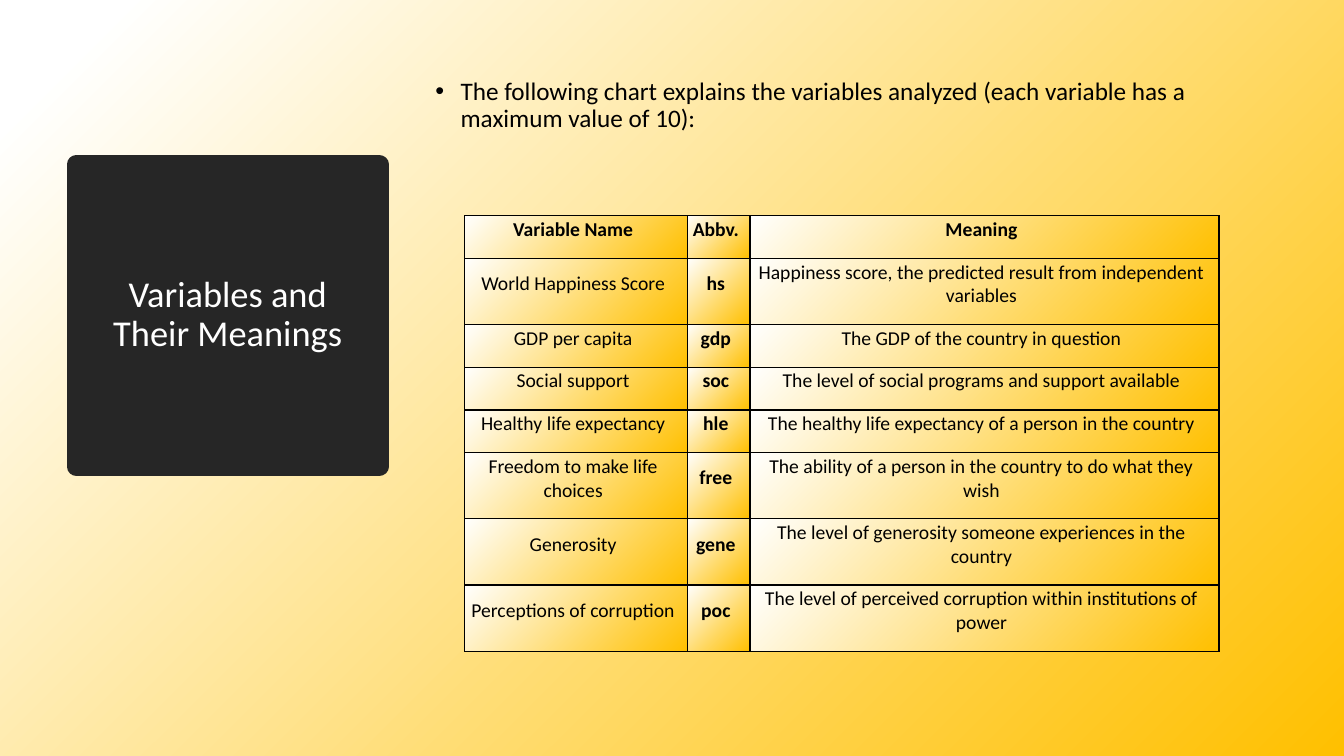
from dataclasses import dataclass

from lxml import etree
from pptx import Presentation
from pptx import util as u
from pptx.dml.color import RGBColor as Rgb
from pptx.enum import text as t
from pptx.oxml import ns


@dataclass(frozen=True)
class Theme:
    font: str = "Calibri"
    black: str = "000000"
    white: str = "FFFFFF"
    dark: str = "262626"
    gold: str = "FFC000"
    head: int = 26
    body: int = 18
    cell: int = 14


THEME = Theme()

ROWS = [
    ("Variable Name", "Abbv.", "Meaning"),
    ("World Happiness Score", "hs",
     "Happiness score, the predicted result from independent variables"),
    ("GDP per capita", "gdp", "The GDP of the country in question"),
    ("Social support", "soc",
     "The level of social programs and support available"),
    ("Healthy life expectancy", "hle",
     "The healthy life expectancy of a person in the country"),
    ("Freedom to make life choices", "free",
     "The ability of a person in the country to do what they wish"),
    ("Generosity", "gene",
     "The level of generosity someone experiences in the country"),
    ("Perceptions of corruption", "poc",
     "The level of perceived corruption within institutions of power"),
]


def style(para, size, color, bold=False):
    for run in para.runs:
        font = run.font
        font.name, font.size, font.bold = THEME.font, u.Pt(size), bold
        font.color.rgb = Rgb.from_string(color)


def blend(fill, start=0):
    """Fade from white at the top left to gold at the bottom right."""
    fill.gradient()
    fill.gradient_angle = 315
    first, last = fill.gradient_stops
    first.position, last.position = start, 1
    first.color.rgb = Rgb.from_string(THEME.white)
    last.color.rgb = Rgb.from_string(THEME.gold)


def border(cell, width):
    props = cell._tc.get_or_add_tcPr()
    for spot, side in enumerate(("lnL", "lnR", "lnT", "lnB")):
        line = etree.Element(ns.qn(f"a:{side}"), w=str(u.Pt(width)))
        fill = etree.SubElement(line, ns.qn("a:solidFill"))
        etree.SubElement(fill, ns.qn("a:srgbClr"), val=THEME.black)
        props.insert(spot, line)


def add_title(slide, words, x, y, w, h):
    title = slide.shapes.title
    title.left, title.top, title.width, title.height = map(
        u.Inches, (x, y, w, h))
    dark = Rgb.from_string(THEME.dark)
    title.fill.solid()
    title.fill.fore_color.rgb = dark
    title.line.color.rgb = dark
    title.line.width = u.Pt(13.75)
    # Round joins soften the corners of the thick outline
    etree.SubElement(title.line._ln, ns.qn("a:round"))
    frame = title.text_frame
    frame.text = words
    frame.word_wrap = True
    frame.auto_size = t.MSO_AUTO_SIZE.NONE
    frame.vertical_anchor = t.MSO_ANCHOR.MIDDLE
    frame.margin_left = frame.margin_right = u.Inches(0.2)
    para = frame.paragraphs[0]
    para.alignment = t.PP_ALIGN.CENTER
    para.line_spacing = 0.9
    style(para, THEME.head, THEME.white)


def add_intro(slide, words, x, y, w, h):
    box = slide.shapes.add_textbox(*map(u.Inches, (x, y, w, h)))
    frame = box.text_frame
    frame.word_wrap = True
    para = frame.paragraphs[0]
    para.text = words
    para.line_spacing = 0.9
    para.space_before = u.Pt(10)
    style(para, THEME.body, THEME.black)
    # Hanging bullet
    props = para._p.get_or_add_pPr()
    indent = u.Inches(0.25)
    props.set("marL", str(indent))
    props.set("indent", str(-indent))
    etree.SubElement(props, ns.qn("a:buFont"), typeface="Arial")
    etree.SubElement(props, ns.qn("a:buChar"), char="•")


def add_grid(slide, rows, x, y, widths, step):
    size = (x, y, sum(widths), step * len(rows))
    table = slide.shapes.add_table(
        len(rows), len(widths), *map(u.Inches, size)).table
    table.first_row = table.horz_banding = False
    for col, width in zip(table.columns, widths):
        col.width = u.Inches(width)
    for r, row in enumerate(rows):
        table.rows[r].height = u.Inches(step)
        for c, words in enumerate(row):
            cell = table.cell(r, c)
            cell.text = words
            cell.vertical_anchor = t.MSO_ANCHOR.MIDDLE
            cell.margin_left, cell.margin_top = 0, u.Inches(0.02)
            cell.margin_right = u.Inches(0.06)
            cell.margin_bottom = u.Inches(0.17)
            para = cell.text_frame.paragraphs[0]
            para.alignment = t.PP_ALIGN.CENTER
            # Header row and abbreviations stand out
            style(para, THEME.cell, THEME.black, bold=r == 0 or c == 1)
            blend(cell.fill)
            border(cell, 1)


def main():
    deck = Presentation()
    deck.slide_width, deck.slide_height = u.Inches(13.33), u.Inches(7.5)
    slide = deck.slides.add_slide(deck.slide_layouts[5])
    blend(slide.background.fill, 0.06)
    add_title(slide, "Variables and Their Meanings", 0.76, 1.63, 3, 3)
    add_intro(slide, "The following chart explains the variables analyzed "
              "(each variable has a maximum value of 10):",
              4.22, 0.73, 7.86, 1.41)
    add_grid(slide, ROWS, 4.61, 2.14, (2.21, 0.62, 4.65), 0.42)
    deck.save("out.pptx")


if __name__ == "__main__":
    main()
